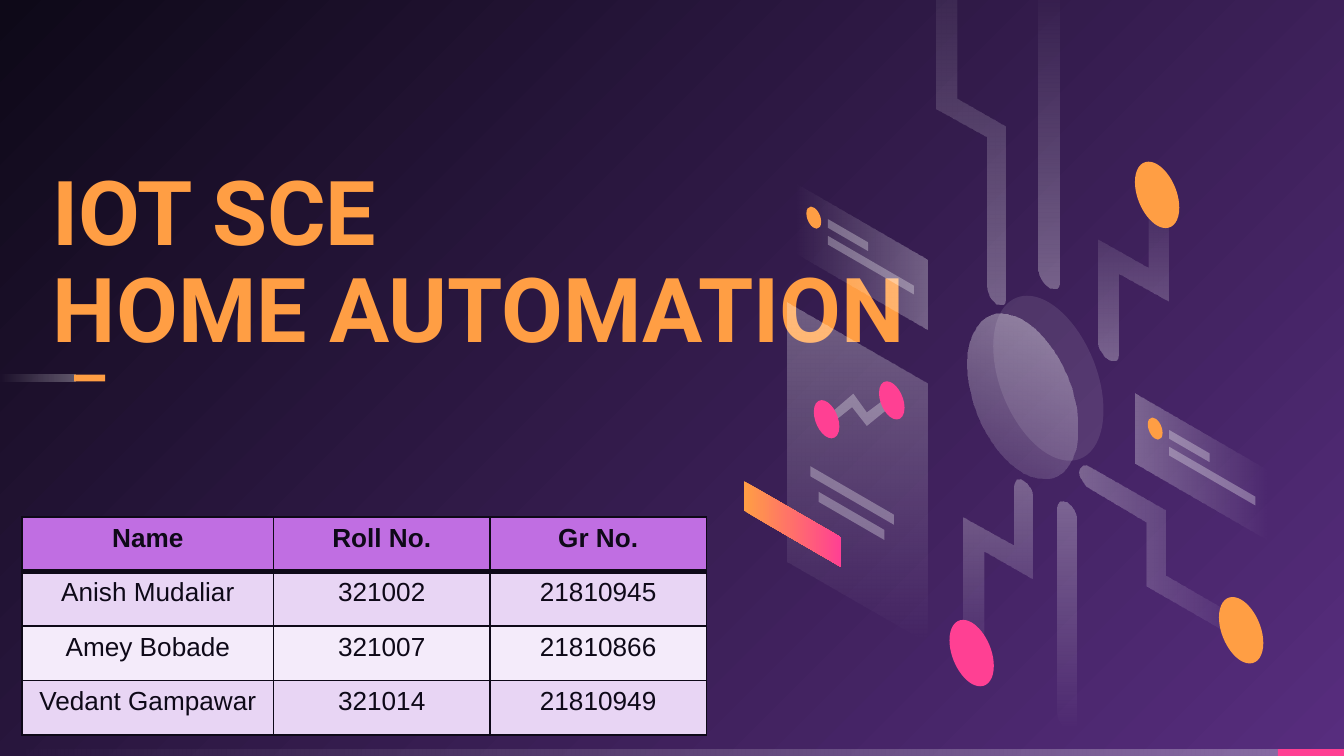
"""Build the IoT home automation title slide with its circuit artwork and team table."""
from dataclasses import dataclass
from math import atan2, cos, pi, sin, tan

from lxml.etree import SubElement
from pptx import Presentation
from pptx.dml.color import RGBColor
from pptx.enum.shapes import MSO_SHAPE
from pptx.enum.text import MSO_ANCHOR, MSO_AUTO_SIZE, PP_ALIGN
from pptx.oxml.ns import qn
from pptx.util import Cm, Pt


@dataclass(frozen=True)
class Theme:
    night: str = "0E0918"
    violet: str = "572D7E"
    orange: str = "FF9E44"
    pink: str = "FF4093"
    white: str = "FFFFFF"
    header: str = "C06EE2"
    bands: tuple = ("E8D5F4", "F4EBFA")
    title_font: str = "Roboto"
    table_font: str = "Arial"
    title_size: int = 48
    table_size: int = 14


@dataclass(frozen=True)
class Paint:
    colors: tuple
    alphas: tuple = (100, 100)
    angle: int = 0


@dataclass(frozen=True)
class Dot:
    x: float
    y: float
    r: float
    paint: Paint


@dataclass(frozen=True)
class Slab:
    x: float
    y: float
    w: float
    h: float
    paint: Paint


@dataclass(frozen=True)
class Pipe:
    angle: int
    points: tuple


T = Theme()
SLANT = 0.58
TALL = 1.38


def solid(color: str, alpha: int = 100) -> Paint:
    """Return a one-colour paint."""
    return Paint((color,), (alpha,))


def fade(angle: int) -> Paint:
    """Return a white paint that fades out along the angle."""
    return Paint((T.white, T.white), (30, 0), angle)


ORANGE, PINK, GLASS = solid(T.orange), solid(T.pink), solid(T.white, 30)

PIPES = (
    Pipe(270, ((704, -63), (708, -61, 712, -55, 712, -51), (712, 73), (748, 94), (748, 222),
               (748, 226, 745, 228, 741, 226), (737, 223, 734, 218, 734, 213), (734, 102),
               (697, 81), (697, -59), (697, -64, 700, -66, 704, -63))),
    Pipe(90, ((724, 506), (728, 509, 732, 507, 732, 502), (732, 410), (768, 431), (768, 370),
              (768, 366, 765, 360, 761, 358), (757, 355, 754, 357, 754, 362), (754, 406),
              (717, 385), (717, 494), (717, 499, 720, 504, 724, 506))),
    Pipe(270, ((781, -13), (785, -11, 788, -5, 788, -1), (788, 210),
               (788, 214, 785, 216, 781, 214), (777, 211, 773, 206, 773, 201), (773, -9),
               (773, -14, 777, -16, 781, -13))),
    Pipe(270, ((861, 132), (857, 130, 854, 132, 854, 136), (854, 199), (817, 178), (817, 255),
               (817, 259, 821, 265, 825, 267), (829, 269, 832, 268, 832, 263), (832, 203),
               (869, 224), (869, 145), (869, 140, 865, 135, 861, 132))),
    Pipe(0, ((932, 473), (932, 469, 928, 463, 924, 461), (867, 428), (867, 380), (811, 348),
             (807, 345, 803, 347, 803, 352), (803, 356, 807, 362, 811, 364), (853, 389),
             (853, 436), (924, 477), (928, 480, 932, 478, 932, 473))),
    Pipe(90, ((794, 543), (790, 540, 787, 535, 787, 530), (787, 378),
              (787, 374, 790, 372, 794, 374), (798, 377, 801, 382, 801, 387), (801, 538),
              (801, 543, 798, 545, 794, 543))),
)
TREND = ((661, 304), (645, 317), (634, 303), (619, 315), (614, 311), (635, 293), (645, 307), (657, 298))
SLABS = (
    Slab(586, 225, 104, 193, fade(90)),
    Slab(603, 347, 62, 7.5, GLASS),
    Slab(609, 366, 49, 7.5, GLASS),
    Slab(553.5, 358, 72.5, 22, Paint((T.orange, T.pink))),
)
DOTS = (
    Dot(723, 486, 16.5, PINK), Dot(861, 145, 16.5, ORANGE), Dot(923.5, 469, 16.5, ORANGE),
    Dot(663.5, 298, 9.5, PINK), Dot(615, 312, 9.5, PINK),
    Dot(780, 281.5, 41, solid(T.white, 10)),
    Dot(761, 294.5, 41, Paint((T.white, T.white), (40, 10), 110)),
)
CARDS = ((845, 293, 0), (591, 136, 180))
BARS = (
    (0, 14.16, 24.23, fade(180)), (24.15, 14.16, 1.25, PINK),
    (0, 7.08, 1.42, fade(180)), (1.4, 7.08, 0.59, ORANGE),
)
TEAM = (
    ("Name", "Roll No.", "Gr No."),
    ("Anish Mudaliar", "321002", "21810945"),
    ("Amey Bobade", "321007", "21810866"),
    ("Vedant Gampawar", "321014", "21810949"),
)


def apply(sp, paint: Paint) -> None:
    """Fill a shape and strip its line and shadow."""
    sp.shadow.inherit = False
    sp.line.fill.background()
    if len(paint.colors) == 1:
        sp.fill.solid()
        sp.fill.fore_color.rgb = RGBColor.from_string(paint.colors[0])
    else:
        sp.fill.gradient()
        sp.fill.gradient_angle = (360 - paint.angle) % 360
        for stop, color in zip(sp.fill.gradient_stops, paint.colors):
            stop.color.rgb = RGBColor.from_string(color)
    for clr, alpha in zip(sp._element.spPr.iter(qn("a:srgbClr")), paint.alphas):
        if alpha < 100:
            SubElement(clr, qn("a:alpha")).set("val", str(alpha * 1000))


def outline(s, points, paint: Paint) -> None:
    """Draw a closed outline of points and cubic curves in hundredths of an inch."""
    flat = [(Cm(pt[i] * 2.54 / 100), Cm(pt[i + 1] * 2.54 / 100)) for pt in points for i in range(0, len(pt), 2)]
    fb = s.shapes.build_freeform(*flat[0], scale=1.0)
    fb.add_line_segments(flat[1:], close=True)
    sp = fb.convert_to_shape()
    steps = iter(list(sp._element.iter(qn("a:lnTo"))))
    for pt in points[1:]:
        step = next(steps)
        if len(pt) == 6:
            step.addprevious(curve := step.makeelement(qn("a:cubicBezTo")))
            for part in (step, next(steps), next(steps)):
                curve.append(part[0])
                part.getparent().remove(part)
    apply(sp, paint)


def draw_dot(s, d: Dot) -> None:
    """Draw a disc seen in isometric view, curved between its extreme points."""
    def at(t: float, pull: float = 0) -> tuple:
        """Return the rim point at an angle, moved along its tangent."""
        x, y = cos(t) - pull * sin(t), sin(t) + pull * cos(t)
        return d.x + d.r * x, d.y + d.r * (TALL * y + SLANT * x)

    top = atan2(TALL, SLANT)
    turns = (0, top, pi, pi + top, 2 * pi)
    points = [at(0)]
    for a, b in zip(turns, turns[1:]):
        pull = 4 / 3 * tan((b - a) / 4)
        points.append((*at(a, pull), *at(b, -pull), *at(b)))
    outline(s, points, d.paint)


def draw_slab(s, b: Slab) -> None:
    """Draw a slanted panel."""
    right, drop = b.x + b.w, b.y + SLANT * b.w
    outline(s, [(b.x, b.y), (right, drop), (right, drop + b.h), (b.x, b.y + b.h)], b.paint)


def draw_card(s, x: float, y: float, angle: int) -> None:
    """Draw a fading card with a dot and two lines."""
    draw_slab(s, Slab(x, y, 99, 52, fade(angle)))
    draw_slab(s, Slab(x + 25, y + 27, 30, 6.5, GLASS))
    draw_slab(s, Slab(x + 25, y + 39.5, 64, 6.5, GLASS))
    draw_dot(s, Dot(x + 14.5, y + 26, 5.5, ORANGE))


def add_run(p, text: str, font: str, size: int, color: str, bold: bool) -> None:
    """Add one formatted run."""
    r = p.add_run()
    r.text = text
    r.font.name, r.font.size, r.font.bold = font, Pt(size), bold
    r.font.color.rgb = RGBColor.from_string(color)


def draw_background(s) -> None:
    """Fill the background with a radial gradient from the lower right."""
    fill = s.background.fill
    fill.gradient()
    for stop, color in zip(fill.gradient_stops, (T.violet, T.night)):
        stop.color.rgb = RGBColor.from_string(color)
    grad = next(s._element.iter(qn("a:gradFill")))
    grad.remove(grad.find(qn("a:lin")))
    radial = SubElement(grad, qn("a:path"))
    radial.set("path", "circle")
    rect = SubElement(radial, qn("a:fillToRect"))
    rect.set("l", "100000")
    rect.set("t", "100000")


def draw_title(s) -> None:
    """Place the two-line title."""
    sp = s.shapes.title
    sp.left, sp.top, sp.width, sp.height = Cm(1), Cm(0.68), Cm(17.6), Cm(8.66)
    tf = sp.text_frame
    tf.word_wrap, tf.auto_size, tf.vertical_anchor = True, MSO_AUTO_SIZE.NONE, MSO_ANCHOR.MIDDLE
    tf.margin_left = tf.margin_right = tf.margin_top = tf.margin_bottom = 0
    p = tf.paragraphs[0]
    p.alignment, p.line_spacing = PP_ALIGN.LEFT, 0.9
    add_run(p, "IOT SCE", T.title_font, T.title_size, T.orange, True)
    p.add_line_break()
    add_run(p, "HOME AUTOMATION", T.title_font, T.title_size, T.orange, True)


def add_border(cell, side: str, width: float) -> None:
    """Draw one border of a table cell."""
    ln = SubElement(cell._tc.get_or_add_tcPr(), qn(f"a:ln{side}"))
    ln.set("w", str(Pt(width)))
    SubElement(SubElement(ln, qn("a:solidFill")), qn("a:srgbClr")).set("val", T.night)


def draw_table(s) -> None:
    """Draw the team table."""
    tbl = s.shapes.add_table(len(TEAM), 3, Cm(0.42), Cm(9.77), Cm(12.93), Cm(4.12)).table
    for col, width in zip(tbl.columns, (4.75, 4.09, 4.09)):
        col.width = Cm(width)
    for i, row in enumerate(TEAM):
        tbl.rows[i].height = Cm(1.03)
        for j, text in enumerate(row):
            cell = tbl.cell(i, j)
            for side in "LRTB":
                add_border(cell, side, 3 if (i, side) in ((0, "B"), (1, "T")) else 1)
            cell.fill.solid()
            cell.fill.fore_color.rgb = RGBColor.from_string(T.bands[(i - 1) % 2] if i else T.header)
            p = cell.text_frame.paragraphs[0]
            p.alignment = PP_ALIGN.CENTER
            add_run(p, text, T.table_font, T.table_size, T.night, i == 0)


def main() -> None:
    """Build and save the slide."""
    prs = Presentation()
    prs.slide_width, prs.slide_height = Cm(25.4), Cm(14.29)
    s = prs.slides.add_slide(prs.slide_layouts[0])
    subtitle = s.placeholders[1]._element
    subtitle.getparent().remove(subtitle)
    draw_background(s)
    draw_title(s)
    for x, y, w, paint in BARS:
        apply(s.shapes.add_shape(MSO_SHAPE.RECTANGLE, Cm(x), Cm(y), Cm(w), Cm(0.13)), paint)
    for pipe in PIPES:
        outline(s, pipe.points, fade(pipe.angle))
    for slab in SLABS:
        draw_slab(s, slab)
    outline(s, TREND, GLASS)
    for card in CARDS:
        draw_card(s, *card)
    for dot in DOTS:
        draw_dot(s, dot)
    draw_table(s)
    prs.save("out.pptx")


if __name__ == "__main__":
    main()
